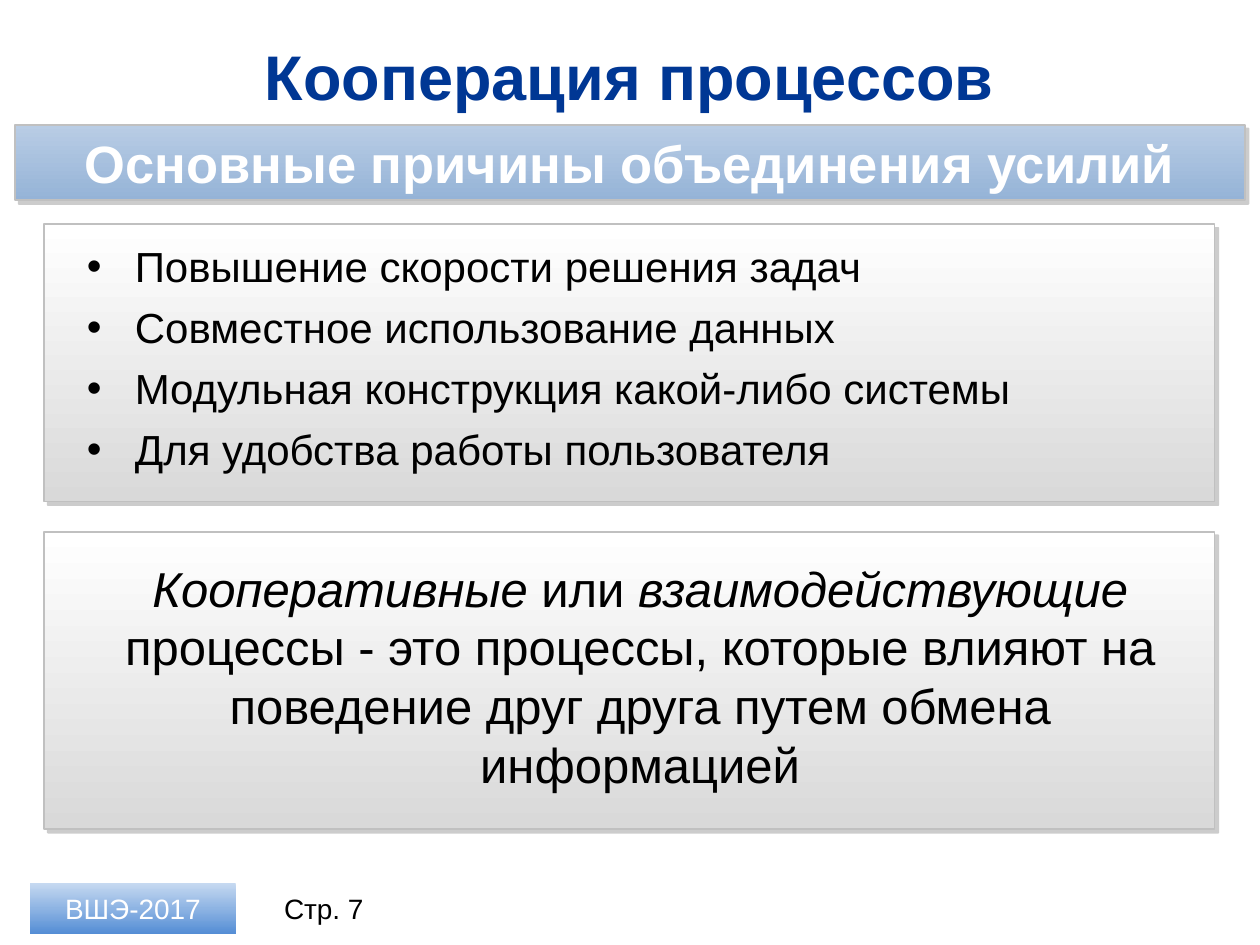
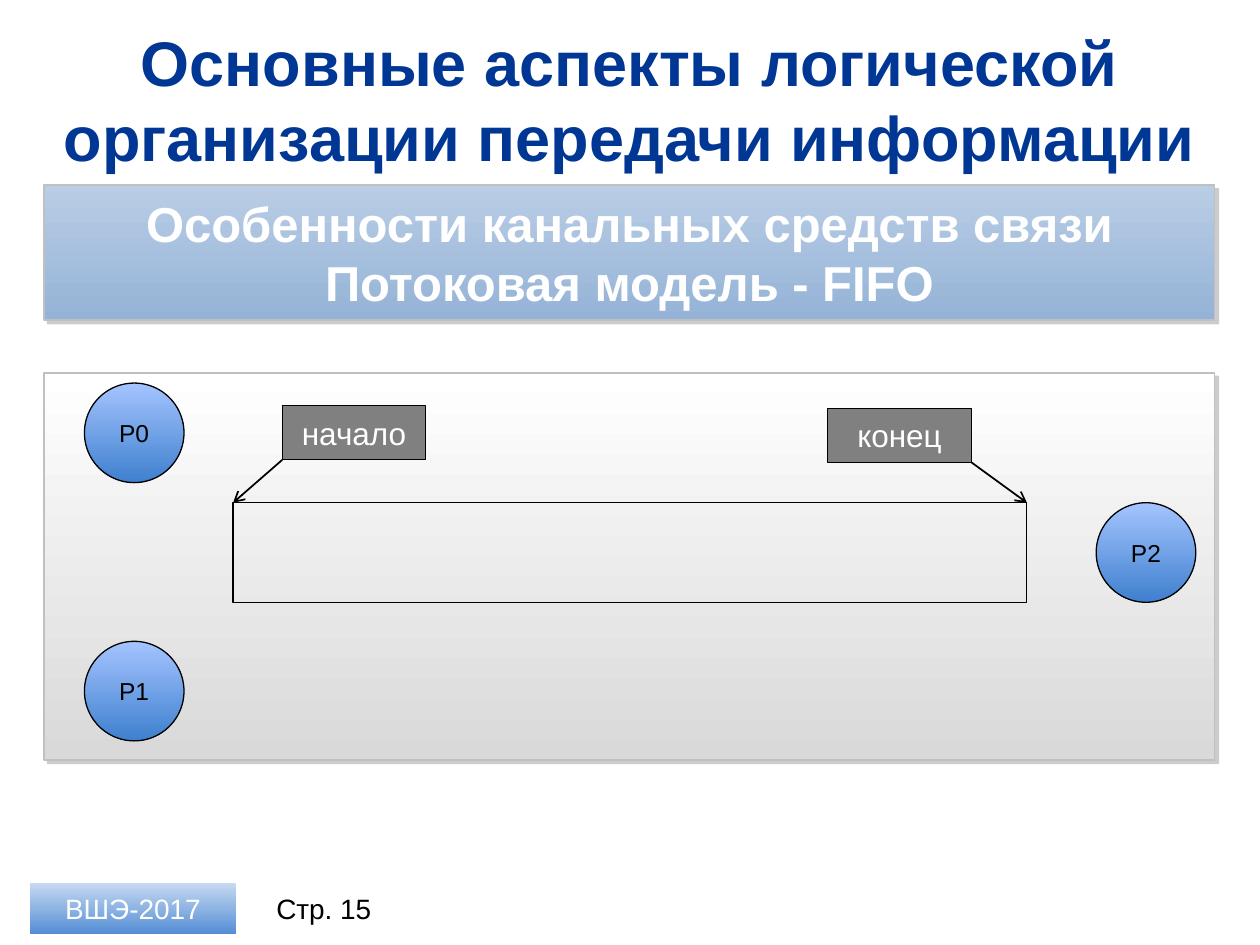
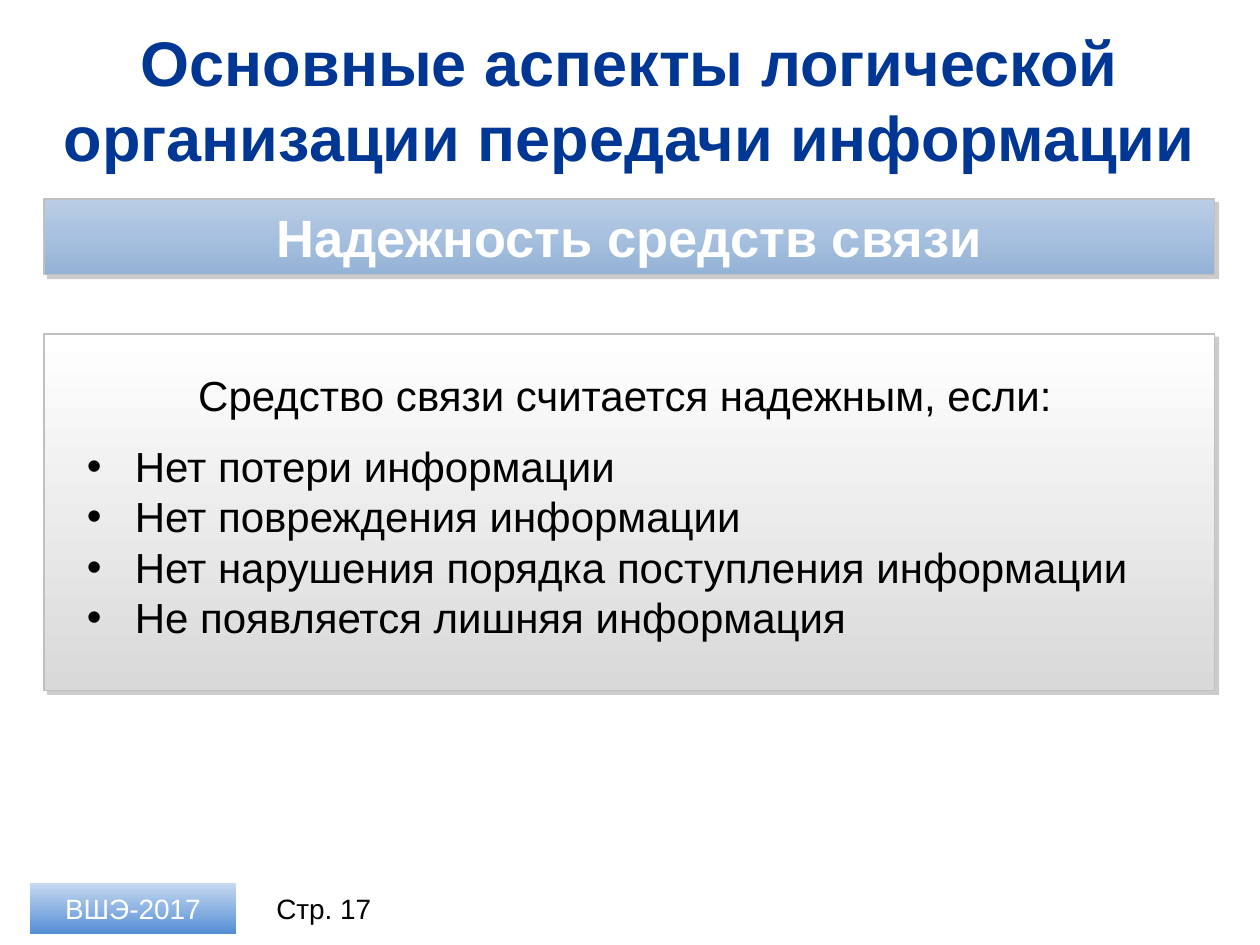
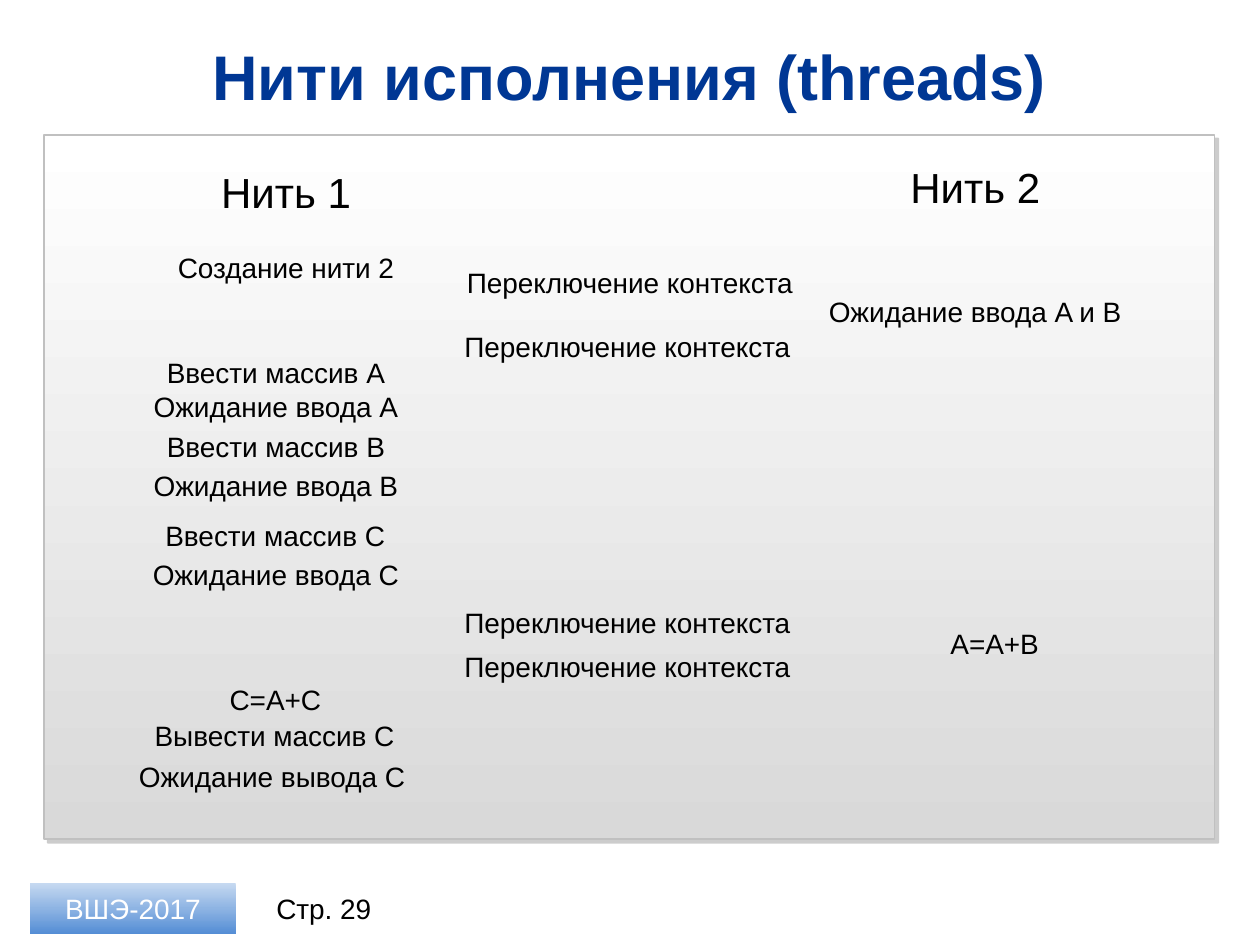
"""Build four lecture slides on cooperating processes and threads."""
from dataclasses import dataclass

from lxml.etree import SubElement
from pptx import Presentation
from pptx.dml.color import RGBColor
from pptx.enum.shapes import MSO_CONNECTOR, MSO_SHAPE
from pptx.enum.text import MSO_ANCHOR, MSO_AUTO_SIZE, PP_ALIGN
from pptx.oxml.ns import qn
from pptx.util import Inches, Pt


@dataclass(frozen=True)
class Theme:
    """Colours, type sizes and spacings shared by the slides."""
    font: str = "Arial"
    ink: str = "000000"
    light: str = "FFFFFF"
    title: str = "003794"
    edge: str = "C0C0C0"
    shadow: str = "808080"
    tag: str = "808080"
    band: tuple = ("B9CDE5", "95B3D7")
    panel: tuple = ("FFFFFF", "D9D9D9")
    footer: tuple = ("C6D9F1", "8EB4E3", "558ED5")
    process: tuple = ("A4C4FF", "3F80CE")
    title_size: int = 36
    band_size: int = 30
    definition_size: int = 28
    list_size: int = 24
    tag_size: int = 18
    small_size: int = 16
    process_size: int = 14
    indent: float = 0.38


THEME = Theme()
CELL = 0.1
COLUMNS, ROWS = 100, 75
MARGIN, SPAN = 3.5, 92.9
TITLE_ONLY, TITLE_AND_BODY = 5, 1
LOGIC_TITLE = "Основные аспекты логической организации передачи информации"
CONTEXT_SWITCH = "Переключение контекста"


def cells(*counts):
    """Convert grid cells to lengths."""
    return [Inches(count * CELL) for count in counts]


def write(frame, paragraphs, size=THEME.small_size, color=THEME.ink, bold=False,
          align=PP_ALIGN.CENTER, anchor=MSO_ANCHOR.MIDDLE, gap=0, wrap=True,
          fit=MSO_AUTO_SIZE.NONE):
    """Fill a frame with strings or lists of (text, italic) runs."""
    frame.word_wrap = wrap
    frame.auto_size = fit
    frame.vertical_anchor = anchor
    for index, content in enumerate(paragraphs):
        paragraph = frame.add_paragraph() if index else frame.paragraphs[0]
        paragraph.alignment = align
        paragraph.space_before = Pt(gap if index else 0)
        for text, italic in [(content, False)] if isinstance(content, str) else content:
            run = paragraph.add_run()
            run.text = text
            run.font.name = THEME.font
            run.font.size = Pt(size)
            run.font.bold = bold
            run.font.italic = italic
            run.font.color.rgb = RGBColor.from_string(color)


def shade(shape, colors):
    """Apply a gradient of evenly spaced colours from top to bottom."""
    shape.fill.gradient()
    shape.fill.gradient_angle = 270
    stops = shape.element.spPr.find(qn("a:gradFill")).find(qn("a:gsLst"))
    stops.clear()
    for index, color in enumerate(colors):
        position = 100000 * index // (len(colors) - 1)
        stop = SubElement(stops, qn("a:gs"), pos=str(position))
        SubElement(stop, qn("a:srgbClr"), val=color)


def draw(slide, box, fill=None, line=None, width=0.75, kind=MSO_SHAPE.RECTANGLE):
    """Draw a flat shape with a plain, gradient or missing fill."""
    shape = slide.shapes.add_shape(kind, *cells(*box))
    shape.shadow.inherit = False
    if fill is None:
        shape.fill.background()
    elif isinstance(fill, tuple):
        shade(shape, fill)
    else:
        shape.fill.solid()
        shape.fill.fore_color.rgb = RGBColor.from_string(fill)
    if line:
        shape.line.color.rgb = RGBColor.from_string(line)
        shape.line.width = Pt(width)
    else:
        shape.line.fill.background()
    return shape


def panel(slide, top, height, left=MARGIN, span=SPAN, fill=THEME.panel):
    """Draw a bordered gradient panel with a hard shadow."""
    shape = draw(slide, (left, top, span, height), fill, THEME.edge, 1)
    effects = shape.element.spPr.find(qn("a:effectLst"))
    shadow = SubElement(effects, qn("a:outerShdw"), blurRad="0", dist=str(Pt(3)),
                        dir=str(45 * 60000), algn="ctr", rotWithShape="0")
    color = SubElement(shadow, qn("a:srgbClr"), val=THEME.shadow)
    SubElement(color, qn("a:alpha"), val="40000")
    return shape


def band(slide, lines, top, height=6, size=THEME.band_size, **place):
    """Draw a blue subtitle band."""
    frame = panel(slide, top, height, fill=THEME.band, **place).text_frame
    frame.margin_left = frame.margin_right = Inches(0.24)
    frame.margin_top = frame.margin_bottom = Inches(0.04)
    write(frame, lines, size=size, color=THEME.light, bold=True)


def label(slide, box, content, fit=MSO_AUTO_SIZE.SHAPE_TO_FIT_TEXT,
          anchor=MSO_ANCHOR.TOP, **style):
    """Add a centred text box."""
    frame = slide.shapes.add_textbox(*cells(*box)).text_frame
    write(frame, [content], fit=fit, anchor=anchor, **style)


def put(placeholder, box):
    """Move a placeholder to a grid box."""
    (placeholder.left, placeholder.top,
     placeholder.width, placeholder.height) = cells(*box)


def start_slide(deck, title, page, layout=TITLE_ONLY, title_height=6.8):
    """Add a slide with its title and footer."""
    slide = deck.slides.add_slide(deck.slide_layouts[layout])
    put(slide.shapes.title, (MARGIN, 2.6, SPAN, title_height))
    write(slide.shapes.title.text_frame, [title], size=THEME.title_size,
          color=THEME.title, bold=True)
    label(slide, (20.3, 70.1, 10.8, 4), f"Стр. {page}",
          fit=MSO_AUTO_SIZE.NONE, anchor=MSO_ANCHOR.MIDDLE)
    badge = draw(slide, (2.4, 70.1, 16.3, 4), THEME.footer)
    write(badge.text_frame, ["ВШЭ-2017"], color=THEME.light)
    return slide


def set_bullet(paragraph, shown):
    """Show or hide a paragraph's bullet and its hanging indent."""
    indent = Inches(THEME.indent) if shown else 0
    properties = paragraph._p.get_or_add_pPr()
    properties.set("marL", str(indent))
    properties.set("indent", str(-indent))
    if shown:
        SubElement(properties, qn("a:buFont"), typeface=THEME.font)
        SubElement(properties, qn("a:buChar"), char="•")
    else:
        SubElement(properties, qn("a:buNone"))


def bullet_list(slide, box, items, intro=None, gap=0):
    """Place the body list above its panel, with an optional centred intro."""
    body = slide.placeholders[1]
    slide.shapes.element.append(body.element)
    put(body, box)
    write(body.text_frame, ([intro] if intro else []) + items, size=THEME.list_size,
          align=PP_ALIGN.LEFT, anchor=MSO_ANCHOR.TOP, gap=gap,
          fit=MSO_AUTO_SIZE.SHAPE_TO_FIT_TEXT)
    for index, paragraph in enumerate(body.text_frame.paragraphs):
        is_intro = bool(intro) and index == 0
        set_bullet(paragraph, not is_intro)
        if is_intro:
            paragraph.alignment = PP_ALIGN.CENTER
            paragraph.space_after = Pt(12)


def process(slide, name, left, top):
    """Draw a process circle."""
    circle = draw(slide, (left, top, 7.9, 7.9), THEME.process, THEME.ink,
                  kind=MSO_SHAPE.OVAL)
    write(circle.text_frame, [name], size=THEME.process_size, wrap=False)


def queue_tag(slide, name, left, top):
    """Draw a grey tag naming one end of the queue."""
    tag = draw(slide, (left, top, 11.4, 4.3), THEME.tag, THEME.ink)
    write(tag.text_frame, [name], size=THEME.tag_size, color=THEME.light, wrap=False)
    return tag


def arrow(slide, start, end):
    """Draw an arrow between two points."""
    connector = slide.shapes.add_connector(MSO_CONNECTOR.STRAIGHT, *start, *end)
    connector.line.color.rgb = RGBColor.from_string(THEME.ink)
    connector.line.width = Pt(1)
    SubElement(connector.line._get_or_add_ln(), qn("a:tailEnd"), type="arrow")
    SubElement(connector._element.spPr, qn("a:effectLst"))


def cooperation_slide(deck):
    """Explain why processes cooperate."""
    slide = start_slide(deck, "Кооперация процессов", 7, TITLE_AND_BODY)
    band(slide, ["Основные причины объединения усилий"], 9.9, left=1.2, span=97.6)
    panel(slide, 17.8, 22)
    bullet_list(slide, (5.9, 18.6, 87.4, 19.7), [
        "Повышение скорости решения задач",
        "Совместное использование данных",
        "Модульная конструкция какой-либо системы",
        "Для удобства работы пользователя",
    ], gap=6)
    panel(slide, 42.2, 23.6)
    label(slide, (5.9, 43.8, 89.8, 19.9), [
        ("Кооперативные", True), (" или ", False), ("взаимодействующие", True),
        (" процессы - это процессы, которые влияют на поведение друг друга "
         "путем обмена информацией", False),
    ], size=THEME.definition_size)


def fifo_slide(deck):
    """Show the stream model as a queue between processes."""
    slide = start_slide(deck, LOGIC_TITLE, 15, title_height=10.5)
    band(slide, ["Особенности канальных средств связи", "Потоковая модель - FIFO"],
         14.7, 10.7, THEME.definition_size)
    panel(slide, 29.6, 30.7)
    queue = draw(slide, (18.5, 39.9, 63, 7.9), line=THEME.ink)
    for name, left, top in (("P0", 6.7, 30.4), ("P1", 6.7, 50.9), ("P2", 87, 39.9)):
        process(slide, name, left, top)
    head = queue_tag(slide, "начало", 22.4, 32.2)
    arrow(slide, (head.left, head.top + head.height), (queue.left, queue.top))
    tail = queue_tag(slide, "конец", 65.7, 32.4)
    arrow(slide, (tail.left + tail.width, tail.top + tail.height),
          (queue.left + queue.width, queue.top))


def reliability_slide(deck):
    """List what makes a means of communication reliable."""
    slide = start_slide(deck, LOGIC_TITLE, 17, TITLE_AND_BODY, title_height=10.5)
    band(slide, ["Надежность средств связи"], 15.8)
    panel(slide, 26.5, 28.3)
    bullet_list(slide, (5.9, 28.8, 87.4, 22.9), [
        "Нет потери информации",
        "Нет повреждения информации",
        "Нет нарушения порядка поступления информации",
        "Не появляется лишняя информация",
    ], intro="Средство связи считается надежным, если:")


def threads_slide(deck):
    """Show the steps of two threads over time."""
    slide = start_slide(deck, "Нити исполнения (threads)", 29)
    panel(slide, 10.7, 55.9)
    step_width = 28.8
    for heading, left, top in (("Нить 1", 8.3, 12.7), ("Нить 2", 63, 12.3)):
        label(slide, (left, top, step_width, 5), heading, size=THEME.list_size)
    steps = (
        ("Создание нити 2", 8.3, 19.4, step_width),
        (CONTEXT_SWITCH, 35.6, 20.6, step_width),
        ("Ожидание ввода A и B", 63, 22.9, step_width),
        (CONTEXT_SWITCH, 35.4, 25.7, step_width),
        ("Ввести массив A", 7.5, 27.7, step_width),
        ("Ожидание ввода A", 7.5, 30.4, step_width),
        ("Ввести массив B", 7.5, 33.6, step_width),
        ("Ожидание ввода B", 7.5, 36.7, step_width),
        ("Ввести массив C", 6.3, 40.7, 31.1),
        ("Ожидание ввода C", 7.5, 43.8, step_width),
        (CONTEXT_SWITCH, 35.4, 47.6, step_width),
        ("A=A+B", 69.3, 49.2, 19.3),
        (CONTEXT_SWITCH, 35.4, 51.1, step_width),
        ("C=A+C", 11.4, 53.7, 20.9),
        ("Вывести массив C", 11, 56.5, 21.6),
        ("Ожидание вывода C", 9.8, 59.8, 23.6),
    )
    for step, left, top, width in steps:
        label(slide, (left, top, width, 3.7), step)


def main():
    """Build and save the deck."""
    deck = Presentation()
    deck.slide_width, deck.slide_height = cells(COLUMNS, ROWS)
    cooperation_slide(deck)
    fifo_slide(deck)
    reliability_slide(deck)
    threads_slide(deck)
    deck.save("out.pptx")


if __name__ == "__main__":
    main()
